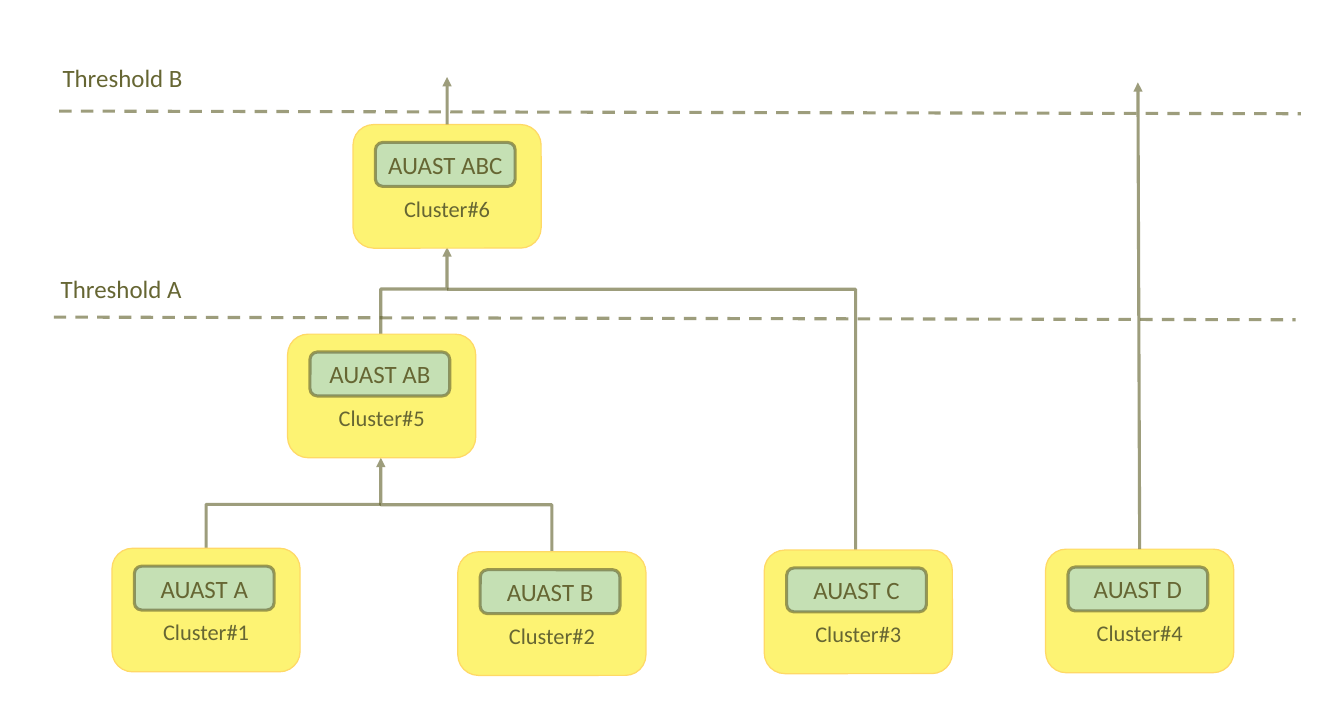
import lxml.etree
import pptx
import pptx.dml.color
import pptx.enum.dml
import pptx.enum.shapes
import pptx.enum.text
import pptx.oxml.ns
import pptx.util

# Positions are columns and rows of a grid with one-inch cells.
COLUMNS, ROWS = 15, 7.87
OLIVE, YELLOW, GOLD, GREEN = "666633", "FDF373", "FFD966", "C5E0B4"
CLUSTER_WIDTH, CLUSTER_HEIGHT = 2.1, 1.38
TREE_WIDTH, TREE_HEIGHT = 1.56, 0.49
CENTER = pptx.enum.text.PP_ALIGN.CENTER
MIDDLE = pptx.enum.text.MSO_ANCHOR.MIDDLE
BOTTOM = pptx.enum.text.MSO_ANCHOR.BOTTOM
STRAIGHT = pptx.enum.shapes.MSO_CONNECTOR.STRAIGHT
ELBOW = pptx.enum.shapes.MSO_CONNECTOR.ELBOW

CLUSTERS = [
    ("Cluster#6", "AUAST ABC", 3.94, 1.39),
    ("Cluster#5", "AUAST AB", 3.21, 3.73),
    ("Cluster#1", "AUAST A", 1.25, 6.12),
    ("Cluster#2", "AUAST B", 5.11, 6.16),
    ("Cluster#3", "AUAST C", 8.53, 6.14),
    ("Cluster#4", "AUAST D", 11.67, 6.13),
]
THRESHOLDS = [  # label, label place, line start, line end
    ("Threshold A", (0.58, 3), (0.6, 3.54), (14.46, 3.57)),
    ("Threshold B", (0.6, 0.65), (0.66, 1.24), (14.52, 1.27)),
]
ELBOWS = [  # start, end, share of the climb before the bend, arrowhead
    ((6.16, 6.16), (4.25, 5.11), 0.5, True),
    ((2.3, 6.12), (4.25, 5.63), 1, False),
    ((4.25, 3.73), (4.99, 2.76), 0.52, True),
    ((9.55, 6.14), (4.99, 3.23), 1, False),
]
ARROWS = [((4.99, 1.39), (4.99, 0.86)), ((12.72, 6.13), (12.7, 0.92))]


def grid(*values):
    return [pptx.util.Inches(value) for value in values]


def color(value):
    return pptx.dml.color.RGBColor.from_string(value)


def add_element(parent, tag, **attributes):
    return lxml.etree.SubElement(parent, pptx.oxml.ns.qn(tag), attributes)


def style_line(line, value=OLIVE, width=2.5, alpha=63):
    line.color.rgb = color(value)
    line.width = pptx.util.Pt(width)
    if alpha < 100:
        tint = line._get_or_add_ln().find(".//" + pptx.oxml.ns.qn("a:srgbClr"))
        add_element(tint, "a:alpha", val=str(alpha * 1000))


def write(shape, text, size, **frame_format):
    frame = shape.text_frame
    for name, value in {"word_wrap": True, **frame_format}.items():
        setattr(frame, name, value)
    para = frame.paragraphs[0]
    para.text = text
    font_format = {"name": "Calibri", "size": pptx.util.Pt(size)}
    for name, value in font_format.items():
        setattr(para.font, name, value)
    para.font.color.rgb = color(OLIVE)
    return para


def add_rounded_box(page, left, top, width, height, fill):
    box = page.shapes.add_shape(
        pptx.enum.shapes.MSO_SHAPE.ROUNDED_RECTANGLE,
        *grid(left, top, width, height))
    box.shadow.inherit = False
    box.fill.solid()
    box.fill.fore_color.rgb = color(fill)
    return box


def add_cluster(page, name, tree, left, top):
    cluster = add_rounded_box(
        page, left, top, CLUSTER_WIDTH, CLUSTER_HEIGHT, YELLOW)
    style_line(cluster.line, GOLD, 1, 100)
    write(cluster, name, 18, vertical_anchor=BOTTOM,
          margin_bottom=pptx.util.Inches(0.23)).alignment = CENTER
    inner = add_rounded_box(
        page, left + 0.25, top + 0.2, TREE_WIDTH, TREE_HEIGHT, GREEN)
    style_line(inner.line)
    write(inner, tree, 20, vertical_anchor=MIDDLE).alignment = CENTER


def add_line(page, start, end, kind=STRAIGHT, arrow=False):
    line = page.shapes.add_connector(kind, *grid(*start, *end))
    style_line(line.line)
    if arrow:
        add_element(line.line._get_or_add_ln(), "a:tailEnd", type="triangle")
    add_element(line._element.spPr, "a:effectLst")
    return line


def add_rising_elbow(page, start, end, bend, arrow):
    """Draw an elbow that leaves start upwards: a level one turned by 270 degrees."""
    center_x, center_y = [(a + b) / 2 for a, b in zip(start, end)]
    half_climb = (start[1] - end[1]) / 2
    half_shift = (end[0] - start[0]) / 2
    elbow = add_line(
        page, (center_x - half_climb, center_y - half_shift),
        (center_x + half_climb, center_y + half_shift), ELBOW, arrow)
    properties = elbow._element.spPr
    properties.find(pptx.oxml.ns.qn("a:xfrm")).set("rot", str(270 * 60000))
    guides = properties.find(".//" + pptx.oxml.ns.qn("a:avLst"))
    add_element(guides, "a:gd", name="adj1", fmla=f"val {round(bend * 100000)}")


def add_threshold(page, label, place, start, end):
    line = add_line(page, start, end)
    line.line.dash_style = pptx.enum.dml.MSO_LINE.DASH
    write(page.shapes.add_textbox(*grid(*place, 1.8, 0.44)), label, 20)


def main():
    deck = pptx.Presentation()
    deck.slide_width, deck.slide_height = grid(COLUMNS, ROWS)
    page = deck.slides.add_slide(deck.slide_layouts[6])
    for elbow in ELBOWS:
        add_rising_elbow(page, *elbow)
    for threshold in THRESHOLDS:
        add_threshold(page, *threshold)
    for cluster in CLUSTERS:
        add_cluster(page, *cluster)
    for start, end in ARROWS:
        add_line(page, start, end, arrow=True)
    deck.save("out.pptx")


if __name__ == "__main__":
    main()
